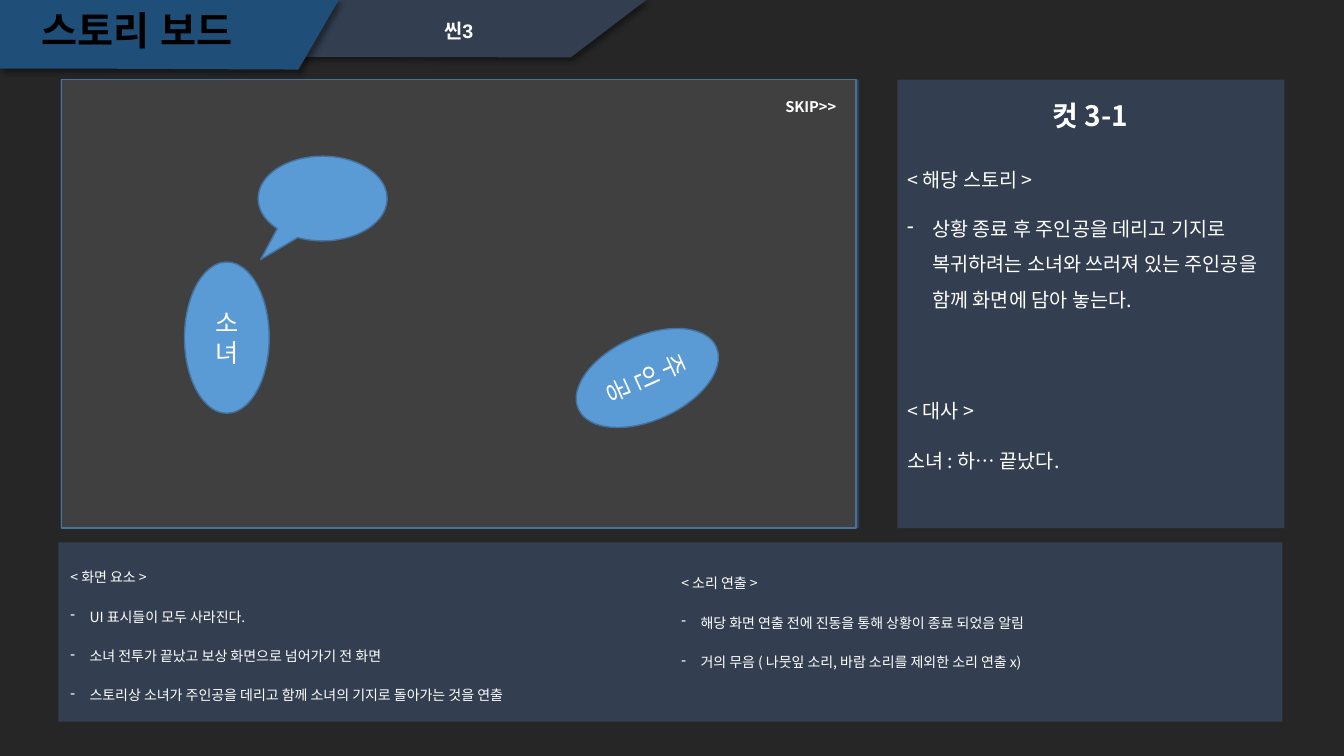
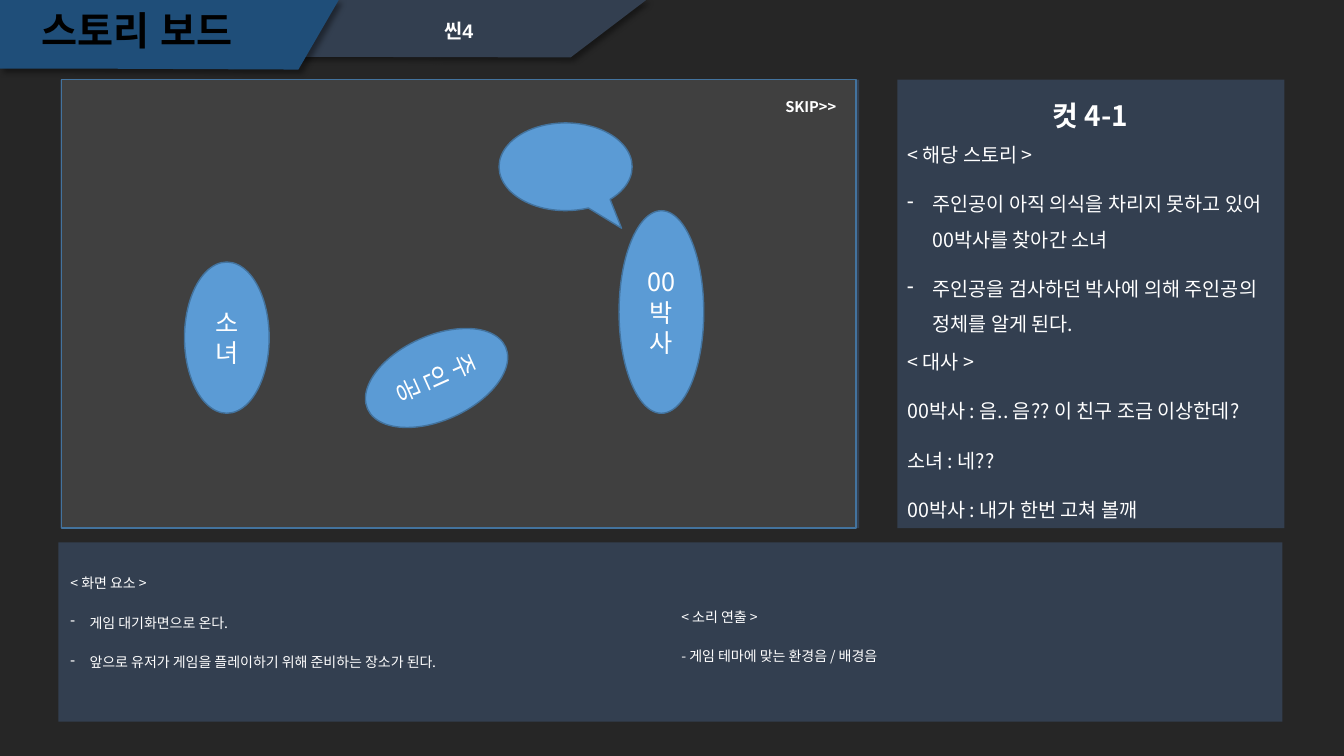
"""Build two storyboard slides for scenes 3 and 4."""
from lxml import etree
from pptx import Presentation
from pptx.dml.color import RGBColor
from pptx.enum.shapes import MSO_SHAPE as Preset
from pptx.enum.text import MSO_ANCHOR as Anchor, PP_ALIGN as Align
from pptx.oxml.ns import qn
from pptx.util import Inches, Pt

COLORS = {"page": "262626", "panel": "333F50", "banner": "1F4E79", "stage": "404040",
          "actor": "5B9BD5", "outline": "43739E", "white": "FFFFFF", "black": "000000"}
HEAD_FONT, BODY_FONT = "Arial", "Noto Sans CJK KR"

SCENE_BAND = [(0.05, 0), (6.41, 0), (5.66, 0.57), (1.38, 0.56), (0.05, 0.56)]
TITLE_BAND = [(0, 0), (3.36, 0), (2.96, 0.69), (0.7, 0.68), (0, 0.68)]
PANELS = [(0.6, 0.79, 7.92, 4.45), (8.9, 0.79, 3.84, 4.45), (0.58, 5.38, 12.14, 1.78)]
STAGE = (0.61, 0.79, 7.88, 4.45)
NOTE_BOXES = {
    "대사": ((8.9, 3.29, 3.85, 1.95), 14, 0.25),
    "해당 스토리": ((8.9, 1.34, 3.84, 1.95), 14, 0.25),
    "화면 요소": ((0.6, 5.38, 6.06, 1.78), 10, 0.19),
    "소리 연출": ((6.66, 5.38, 6.06, 1.78), 10, 0.19),
}
GIRL = ("소녀", (1.83, 2.6, 0.84, 1.5), 0)

SCENES = [
    {
        "scene": "씬3", "cut": "컷 3-1",
        "actors": [("주인공", (6, 3, 0.84, 1.5), 65.8), GIRL],
        "bubble": ((2.56, 1.55, 1.28, 0.84), (-0.48, 0.72)),
        "notes": {
            "대사": ["소녀 : 하… 끝났다."],
            "해당 스토리": ["* 상황 종료 후 주인공을 데리고 기지로 복귀하려는 소녀와 "
                       "쓰러져 있는 주인공을 함께 화면에 담아 놓는다."],
            "화면 요소": ["* UI 표시들이 모두 사라진다.",
                      "* 소녀 전투가 끝났고 보상 화면으로 넘어가기 전 화면",
                      "* 스토리상 소녀가 주인공을 데리고 함께 소녀의 기지로 돌아가는 것을 연출"],
            "소리 연출": ["* 해당 화면 연출 전에 진동을 통해 상황이 종료 되었음 알림",
                      "* 거의 무음 ( 나뭇잎 소리, 바람 소리를 제외한 소리 연출 x)"],
        },
        "raised": "소리 연출",
    },
    {
        "scene": "씬4", "cut": "컷 4-1",
        "actors": [("주인공", (3.91, 3, 0.84, 1.5), 65.8), GIRL,
                   ("00박사", (6.14, 2.09, 0.84, 2.01), 0)],
        "bubble": ((4.95, 1.22, 1.32, 0.87), (0.42, 0.7)),
        "notes": {
            "대사": ["00박사 : 음.. 음?? 이 친구 조금 이상한데?", "소녀 : 네??",
                   "00박사 : 내가 한번 고쳐 볼깨"],
            "해당 스토리": ["* 주인공이 아직 의식을 차리지 못하고 있어 00박사를 찾아간 소녀",
                       "* 주인공을 검사하던 박사에 의해 주인공의 정체를 알게 된다."],
            "화면 요소": ["* 게임 대기화면으로 온다.",
                      "* 앞으로 유저가 게임을 플레이하기 위해 준비하는 장소가 된다."],
            "소리 연출": ["- 게임 테마에 맞는 환경음 / 배경음"],
        },
        "raised": "화면 요소",
    },
]


def rgb(name):
    return RGBColor.from_string(COLORS[name])


def paint(shape, fill, line=None):
    shape.shadow.inherit = False
    shape.fill.solid()
    shape.fill.fore_color.rgb = rgb(fill)
    if line:
        shape.line.color.rgb = rgb(line)
        shape.line.width = Pt(1)
    else:
        shape.line.fill.background()
    return shape


def add_preset(slide, preset, box, fill, line=None):
    return paint(slide.shapes.add_shape(preset, *map(Inches, box)), fill, line)


def add_band(slide, points, fill):
    corners = [(Inches(x), Inches(y)) for x, y in points]
    builder = slide.shapes.build_freeform(*corners[0], scale=1.0)
    builder.add_line_segments(corners[1:], close=True)
    band = paint(builder.convert_to_shape(), fill)
    effects = band._element.spPr.find(qn("a:effectLst"))
    shadow = etree.SubElement(effects, qn("a:outerShdw"), blurRad=str(Pt(4)),
                              dist=str(Pt(3)), dir="2700000", algn="tl", rotWithShape="0")
    color = etree.SubElement(shadow, qn("a:srgbClr"), val=COLORS["black"])
    etree.SubElement(color, qn("a:alpha"), val="40000")


def write(paragraph, text, size, font=BODY_FONT, color="white", bold=False):
    run = paragraph.add_run()
    run.text = text
    run.font.size, run.font.bold, run.font.name = Pt(size), bold, font
    run.font.color.rgb = rgb(color)
    etree.SubElement(run._r.get_or_add_rPr(), qn("a:ea"), typeface=font)


def add_label(slide, box, text, size, align=Align.CENTER, anchor=Anchor.MIDDLE,
              spacing=1.0, **style):
    frame = slide.shapes.add_textbox(*map(Inches, box)).text_frame
    frame.word_wrap, frame.vertical_anchor = True, anchor
    paragraph = frame.paragraphs[0]
    paragraph.alignment, paragraph.line_spacing = align, spacing
    write(paragraph, text, size, bold=True, **style)


def add_dash(paragraph, indent):
    properties = paragraph._p.get_or_add_pPr()
    properties.set("marL", str(Inches(indent)))
    properties.set("indent", str(-Inches(indent)))
    etree.SubElement(properties, qn("a:buFontTx"))
    etree.SubElement(properties, qn("a:buChar"), char="-")


def add_notes(slide, heading, lines, raised):
    box, size, indent = NOTE_BOXES[heading]
    frame = slide.shapes.add_textbox(*map(Inches, box)).text_frame
    frame.word_wrap, frame.vertical_anchor = True, Anchor.MIDDLE
    if raised:
        frame.margin_bottom = Inches(0.32)
    for index, line in enumerate([f"< {heading} >", *lines]):
        paragraph = frame.add_paragraph() if index else frame.paragraphs[0]
        paragraph.line_spacing = 1.5
        paragraph.space_before = Pt(10 if index else 0)
        if line.startswith("* "):
            add_dash(paragraph, indent)
        write(paragraph, line.removeprefix("* "), size)


def add_actor(slide, name, box, rotation):
    actor = add_preset(slide, Preset.OVAL, box, "actor", "outline")
    actor.rotation = rotation
    frame = actor.text_frame
    frame.word_wrap, frame.vertical_anchor = True, Anchor.MIDDLE
    frame.paragraphs[0].alignment = Align.CENTER
    write(frame.paragraphs[0], name, 18)


def add_base(slide, scene, cut):
    add_band(slide, SCENE_BAND, "panel")
    add_band(slide, TITLE_BAND, "banner")
    for panel in PANELS:
        add_preset(slide, Preset.RECTANGLE, panel, "panel")
    add_label(slide, (4.05, 0.16, 1, 0.32), scene, 14, anchor=Anchor.TOP,
              spacing=0.9, font=HEAD_FONT)
    add_label(slide, (0.03, 0.06, 2.66, 0.53), "스토리 보드", 28,
              spacing=0.9, font=HEAD_FONT, color="black")
    add_label(slide, (8.9, 0.79, 3.83, 0.54), cut, 20, spacing=1.5)
    add_preset(slide, Preset.RECTANGLE, STAGE, "stage", "outline")
    add_label(slide, (7.69, 0.92, 1, 0.29), "SKIP>>", 10.5, Align.LEFT, Anchor.TOP)


def build_scene(slide, content):
    add_base(slide, content["scene"], content["cut"])
    for actor in content["actors"]:
        add_actor(slide, *actor)
    for heading, lines in content["notes"].items():
        add_notes(slide, heading, lines, heading == content["raised"])
    box, tail = content["bubble"]
    bubble = add_preset(slide, Preset.OVAL_CALLOUT, box, "actor", "outline")
    for index, offset in enumerate(tail):
        bubble.adjustments[index] = offset


def main():
    prs = Presentation()
    prs.slide_width, prs.slide_height = Inches(13.33), Inches(7.5)
    backdrop = prs.slide_master.background.fill
    backdrop.solid()
    backdrop.fore_color.rgb = rgb("page")
    for content in SCENES:
        build_scene(prs.slides.add_slide(prs.slide_layouts[6]), content)
    prs.save("out.pptx")


if __name__ == "__main__":
    main()
